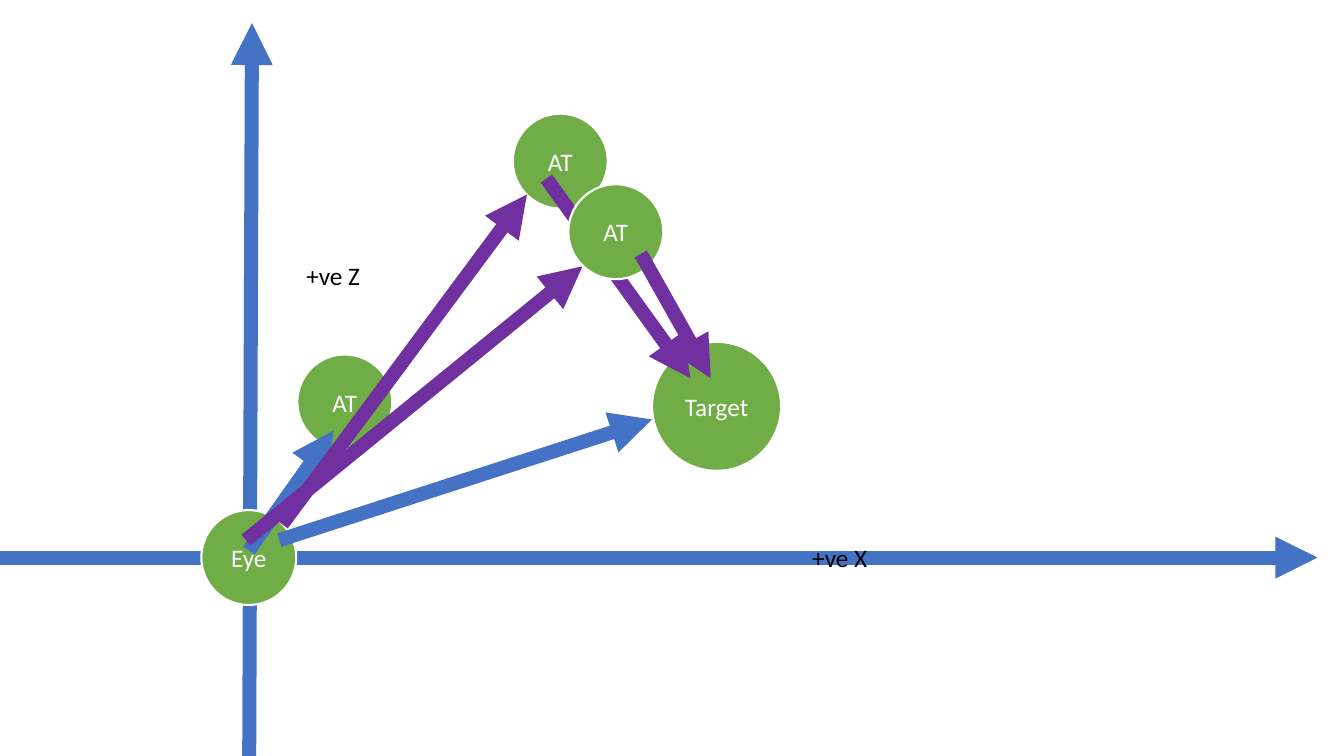
from dataclasses import dataclass

from lxml.etree import SubElement
from pptx import Presentation
from pptx.dml.color import RGBColor as Rgb
from pptx.enum.shapes import MSO_CONNECTOR as Link, MSO_SHAPE as Shape
from pptx.enum.text import MSO_ANCHOR as Anchor, MSO_AUTO_SIZE as Fit, PP_ALIGN as Align
from pptx.oxml.ns import qn
from pptx.util import Cm, Pt


@dataclass(frozen=True)
class Theme:
    font: str = "Calibri"
    size: int = 18
    arrow: float = 10
    rim: float = 1.5
    blue: Rgb = Rgb(0x44, 0x72, 0xC4)
    green: Rgb = Rgb(0x70, 0xAD, 0x47)
    purple: Rgb = Rgb(0x70, 0x30, 0xA0)
    white: Rgb = Rgb(0xFF, 0xFF, 0xFF)
    black: Rgb = Rgb(0, 0, 0)


THEME = Theme()
SMALL, LARGE = 2.39, 3.25


def write(shape, text, color=THEME.black, align=Align.LEFT, anchor=Anchor.TOP):
    frame = shape.text_frame
    frame.word_wrap = True
    frame.vertical_anchor = anchor
    par = frame.paragraphs[0]
    par.alignment = align
    run = par.add_run()
    run.text = text
    run.font.name = THEME.font
    run.font.size = Pt(THEME.size)
    run.font.color.rgb = color


def label(slide, text, left, top):
    box = slide.shapes.add_textbox(Cm(left), Cm(top), Cm(3.02), Cm(1.02))
    write(box, text)
    box.text_frame.auto_size = Fit.SHAPE_TO_FIT_TEXT


def node(slide, text, x, y, size=SMALL):
    """Add a named circle centred on x, y."""
    ball = slide.shapes.add_shape(
        Shape.OVAL, Cm(x - size / 2), Cm(y - size / 2), Cm(size), Cm(size))
    ball.shadow.inherit = False
    ball.fill.solid()
    ball.fill.fore_color.rgb = THEME.green
    ball.line.color.rgb = THEME.white
    ball.line.width = Pt(THEME.rim)
    write(ball, text, color=THEME.white, align=Align.CENTER, anchor=Anchor.MIDDLE)


def arrow(slide, start, end, color=THEME.blue):
    line = slide.shapes.add_connector(
        Link.STRAIGHT, *(Cm(v) for v in (*start, *end)))
    line.line.color.rgb = color
    line.line.width = Pt(THEME.arrow)
    props = line._element.spPr
    SubElement(props.find(qn("a:ln")), qn("a:tailEnd"), type="triangle")
    SubElement(props, qn("a:effectLst"))


def main():
    deck = Presentation()
    deck.slide_width, deck.slide_height = Cm(33.87), Cm(19.05)
    slide = deck.slides.add_slide(deck.slide_layouts[6])

    # Axes
    arrow(slide, (0, 14.05), (33.2, 14.05))
    arrow(slide, (6.28, 19.05), (6.35, 0.58))
    label(slide, "+ve Z", 7.47, 6.43)
    label(slide, "+ve X", 20.22, 13.54)

    # Eye, first look-at point and target
    node(slide, "Eye", 6.27, 14.05)
    node(slide, "AT", 8.69, 10.13)
    node(slide, "Target", 18.06, 10.24, size=LARGE)
    arrow(slide, (7.04, 13.61), (16.43, 10.57))
    arrow(slide, (6.27, 13.87), (8.41, 10.85))

    # Look-at points reached on the way to the target
    node(slide, "AT", 14.12, 4.06)
    arrow(slide, (7.11, 13.21), (13.28, 4.9), THEME.purple)
    arrow(slide, (13.77, 4.5), (17.4, 9.53), THEME.purple)
    arrow(slide, (6.2, 13.61), (14.68, 6.71), THEME.purple)
    node(slide, "AT", 15.52, 5.84)
    arrow(slide, (16.15, 6.4), (17.91, 9.53), THEME.purple)

    deck.save("out.pptx")


if __name__ == "__main__":
    main()
